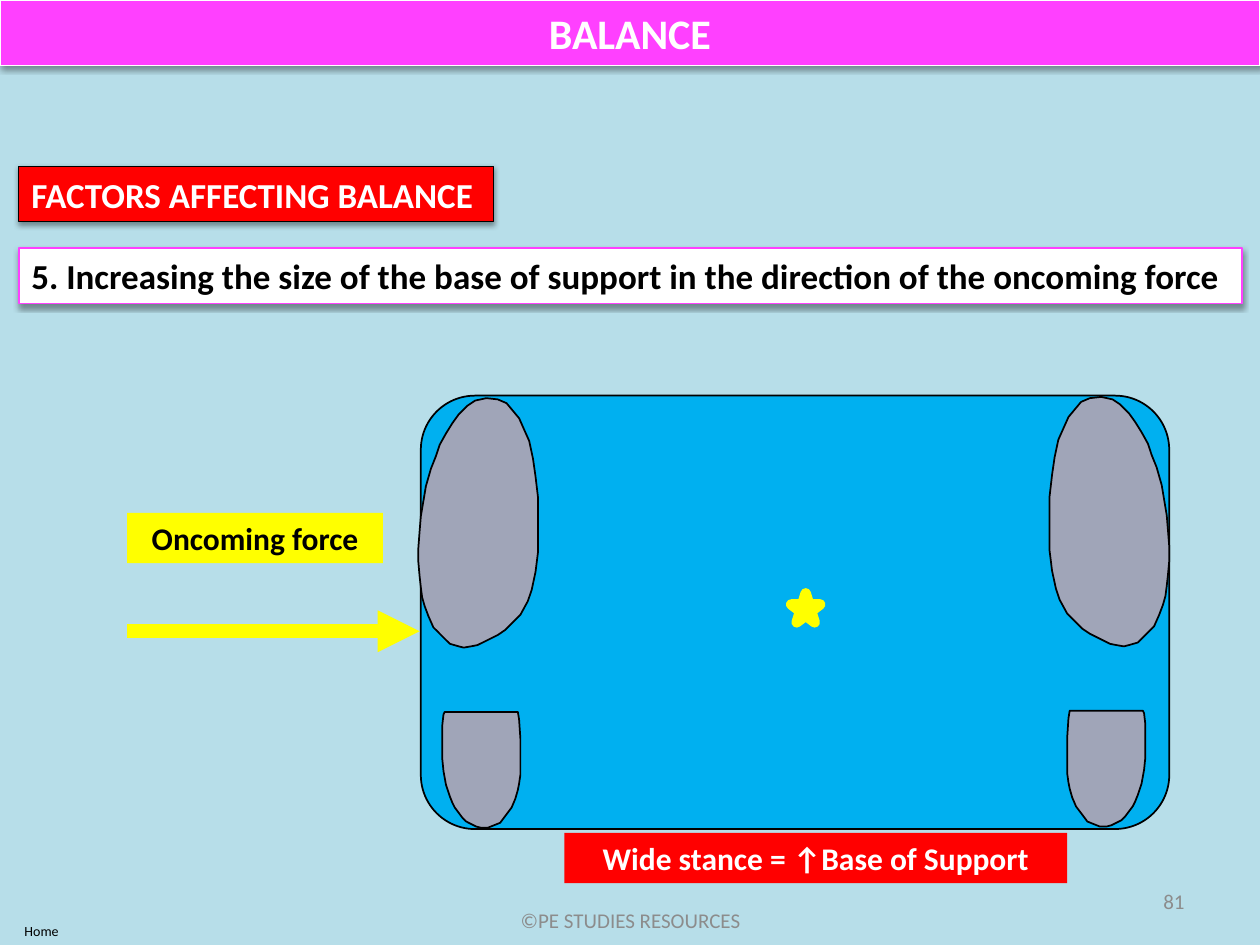
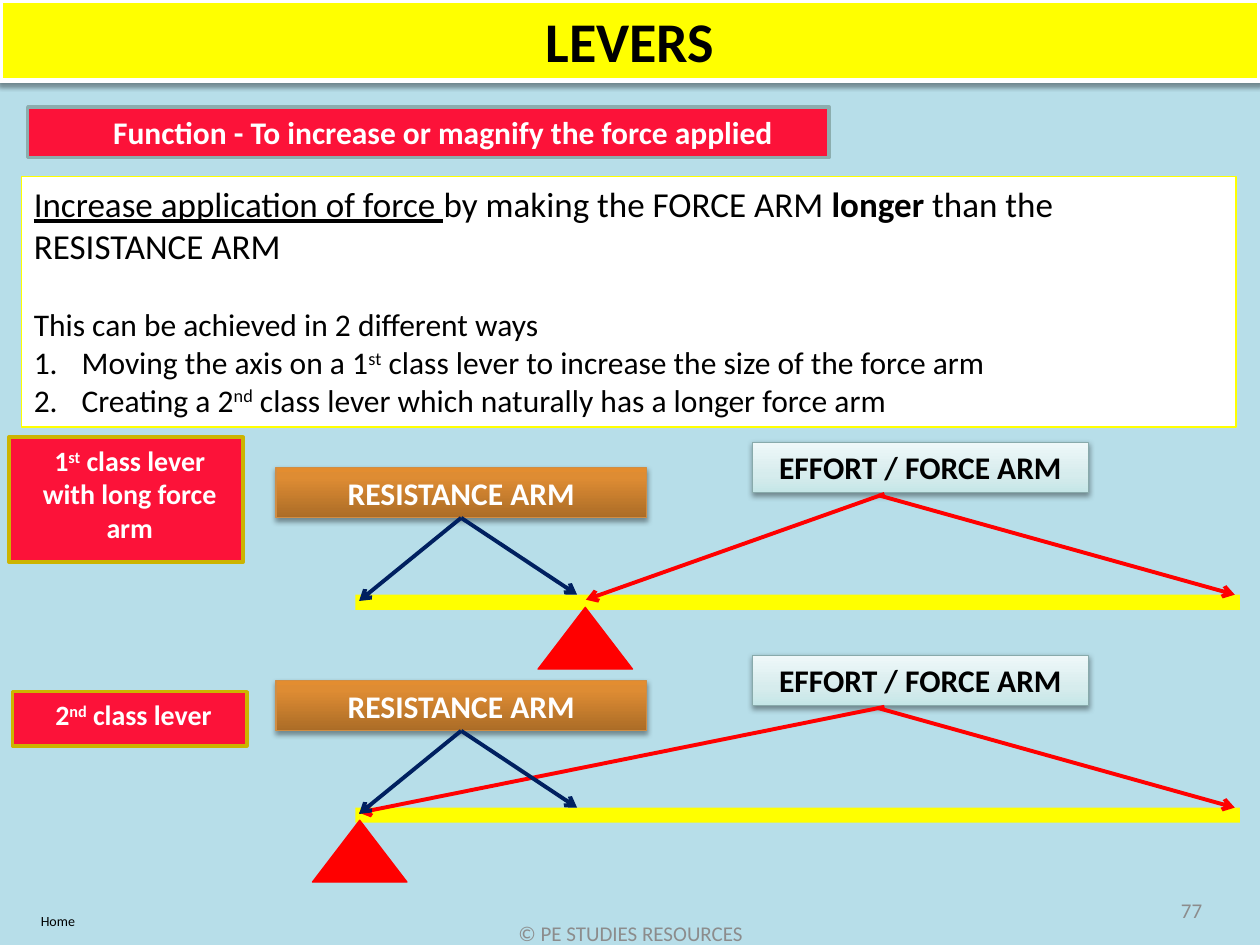
from dataclasses import dataclass

from lxml import etree
from pptx import Presentation, util as u
from pptx.dml.color import RGBColor
from pptx.enum import shapes, text
from pptx.oxml import parse_xml
from pptx.oxml.ns import nsdecls, qn


@dataclass(frozen=True)
class Theme:
    font: str = "Calibri"
    background: str = "B7DEE9"
    black: str = "000000"
    white: str = "FFFFFF"
    grey: str = "8C8C8C"
    magenta: str = "FF40FF"
    yellow: str = "FFFF00"
    red: str = "FF0000"
    crimson: str = "FC1239"
    teal: str = "8CADAE"
    gold: str = "CCB400"
    blue: str = "00B0F0"
    navy: str = "002060"
    foot: str = "A0A5B8"
    # Gradient stops run from the bottom of a shape to its top
    ice: tuple = ((0, "C5E6E7"), (35, "D6ECED"), (100, "EFF8F9"))
    ice_edge: str = "88AAAB"
    bronze: tuple = ((0, "AB6C27"), (80, "DE8C33"), (100, "E38D30"))
    bronze_edge: str = "D08D44"
    tiny: int = 8
    footer: int = 12
    tag: int = 16
    body: int = 18
    heading: int = 20
    title: int = 24
    big_title: int = 32


THEME = Theme()

# The slide is a grid of 100 columns by 75 rows
COLUMNS, ROWS = 100, 75
CELL = u.Inches(0.1)

# ---- Content: text; a run is a string or (string, style) ----
BALANCE = {
    "title": "BALANCE",
    "heading": "FACTORS AFFECTING BALANCE",
    "factor": "5. Increasing the size of the base of support in the direction of the oncoming force",
    "force": "Oncoming force",
    "stance": "Wide stance = ↑Base of Support",
    "credit": "©PE STUDIES RESOURCES",
    "number": "81",
}
LEVERS = {
    "title": "LEVERS",
    "function": "Function - To increase or magnify the force applied",
    "intro": [("Increase application of force ", "underline"), "by making the FORCE ARM ",
              ("longer", "bold"), " than the RESISTANCE ARM"],
    "lead": "This can be achieved in 2 different ways",
    "ways": [
        ["Moving the axis on a 1", ("st", "super"),
         " class lever to increase the size of the force arm"],
        ["Creating a 2", ("nd", "super"),
         " class lever which naturally has a longer force arm"],
    ],
    "credit": "© PE STUDIES RESOURCES",
    "number": "77",
}
# Each lever: tag text, tag box, column of the pivot, column where the force arm starts
LEVER_DIAGRAMS = [
    (["1", ("st", "super"), " class lever with long force arm"], (0.7, 34.7, 18.6, 9.9), 46.45, 46.5),
    (["2", ("nd", "super"), " class lever"], (1, 54.9, 18.6, 4.3), 28.55, 28.5),
]
LEVER_PITCH = 16.9

# Left foot outlines, in tenths of a cell; the right foot is their mirror
SOLE = [
    (386, 316), (377, 318), (371, 322), (364, 329), (359, 336), (354, 344), (349, 353),
    (346, 362), (342, 372), (338, 386), (336, 398), (334, 410), (333, 422), (332, 435),
    (332, 446), (333, 457), (334, 466), (335, 474), (337, 481), (340, 489), (344, 498),
    (347, 501), (351, 505), (357, 511), (364, 513), (368, 514), (374, 513), (379, 512),
    (385, 509), (395, 504), (401, 500), (406, 495), (413, 488), (419, 477), (422, 468),
    (425, 454), (427, 438), (427, 395), (425, 378), (423, 364), (420, 350), (416, 341),
    (412, 332), (407, 326), (402, 320), (395, 317),
]
HEEL = [
    (353, 565), (411, 565), (412, 571), (413, 586), (413, 615), (412, 622), (411, 627),
    (409, 634), (406, 641), (400, 649), (397, 653), (392, 655), (387, 657), (382, 657),
    (378, 656), (374, 654), (370, 652), (367, 649), (361, 641), (359, 637), (357, 632),
    (354, 623), (352, 612), (351, 602), (351, 576), (352, 567),
]
MIRROR_SUM = 1260  # left column + right column of a mirrored pair


# ---- Helpers ----
def cells(*values):
    return [round(value * CELL) for value in values]


def rgb(colour):
    return RGBColor.from_string(colour)


def paint(shape, fill=None, line=None, width=0.75, shadow=False):
    if isinstance(fill, tuple):
        stops = "".join(f'<a:gs pos="{share * 1000}"><a:srgbClr val="{colour}"/></a:gs>'
                        for share, colour in fill)
        shape._element.spPr.insert(2, parse_xml(
            f'<a:gradFill {nsdecls("a")} rotWithShape="1"><a:gsLst>{stops}</a:gsLst>'
            '<a:lin ang="16200000" scaled="0"/></a:gradFill>'))
    elif fill:
        shape.fill.solid()
        shape.fill.fore_color.rgb = rgb(fill)
    if line:
        shape.line.color.rgb = rgb(line)
        shape.line.width = u.Pt(width)
    else:
        shape.line.fill.background()
    shape.shadow.inherit = False
    if shadow:
        shape._element.spPr.find(qn("a:effectLst")).append(parse_xml(
            f'<a:outerShdw {nsdecls("a")} blurRad="{u.Pt(3.1)}" dist="{u.Pt(1.6)}" dir="5400000" '
            'rotWithShape="0"><a:srgbClr val="000000"><a:alpha val="38000"/></a:srgbClr></a:outerShdw>'))


def write(paragraph, content, size, colour=THEME.black, bold=False,
          align="LEFT", indent=0, numbered=False):
    paragraph.alignment = getattr(text.PP_ALIGN, align)
    properties = paragraph._p.get_or_add_pPr()
    if indent:
        properties.set("marL", str(cells(indent)[0]))
    if numbered:
        properties.set("indent", str(-cells(indent)[0]))
        etree.SubElement(properties, qn("a:buAutoNum"), type="arabicPeriod")
    font = paragraph.font
    font.name, font.size, font.bold = THEME.font, u.Pt(size), bold
    font.color.rgb = rgb(colour)
    for part in [content] if isinstance(content, str) else content:
        words, style = (part, None) if isinstance(part, str) else part
        run = paragraph.add_run()
        run.text = words
        if style == "bold":
            run.font.bold = True
        elif style == "underline":
            run.font.underline = True
        elif style == "super":
            run._r.get_or_add_rPr().set("baseline", "30000")


def frame_of(shape, anchor="TOP"):
    frame = shape.text_frame
    frame.word_wrap = True
    frame.vertical_anchor = getattr(text.MSO_ANCHOR, anchor)
    return frame


def add_preset(slide, kind, box, **look):
    shape = slide.shapes.add_shape(getattr(shapes.MSO_SHAPE, kind), *cells(*box))
    paint(shape, **look)
    return shape


def add_label(slide, box, content, size, colour=THEME.white, align="CENTER",
              indent=0, anchor="TOP", **look):
    shape = add_preset(slide, "RECTANGLE", box, **look)
    write(frame_of(shape, anchor).paragraphs[0], content, size, colour, True, align, indent)


def add_note(slide, box, content, size, colour, align="CENTER", anchor="MIDDLE"):
    frame = frame_of(slide.shapes.add_textbox(*cells(*box)), anchor)
    write(frame.paragraphs[0], content, size, colour, align=align)


def add_arrow(slide, start, end, colour, width, head):
    arrow = slide.shapes.add_connector(shapes.MSO_CONNECTOR.STRAIGHT, *cells(*start, *end))
    arrow.line.color.rgb = rgb(colour)
    arrow.line.width = u.Pt(width)
    etree.SubElement(arrow.line._get_or_add_ln(), qn("a:tailEnd"), type=head)
    etree.SubElement(arrow._element.spPr, qn("a:effectLst"))


def add_outline(slide, points):
    builder = slide.shapes.build_freeform(*points[0], scale=CELL / 10)
    builder.add_line_segments(points[1:], close=True)
    paint(builder.convert_to_shape(), THEME.foot, THEME.black, 1)


def add_base(presentation, content, band_height, band_fill, band_line, title_colour, title_size,
             credit_row, home_box, number_at):
    """Slide with background, title band and footer."""
    slide = presentation.slides.add_slide(presentation.slide_layouts[6])
    slide.background.fill.solid()
    slide.background.fill.fore_color.rgb = rgb(THEME.background)
    add_label(slide, (0, 0, COLUMNS, band_height), content["title"], title_size, title_colour,
              anchor="MIDDLE", fill=band_fill, line=THEME.white, width=band_line, shadow=True)
    add_note(slide, (34.2, credit_row, 31.7, 4), content["credit"], THEME.footer, THEME.grey)
    add_note(slide, (*home_box, 9.2, 2.4), "Home", THEME.tiny, THEME.black, anchor="TOP")
    add_note(slide, (*number_at, 23.3, 4), content["number"], THEME.footer, THEME.grey, "RIGHT")
    return slide


# ---- Slides ----
def build_balance(presentation):
    slide = add_base(presentation, BALANCE, 5.2, THEME.magenta, 0.75, THEME.white, THEME.title,
                     71, (-1.3, 72.7), (71.7, 69.5))
    add_label(slide, (1.5, 13.2, 37.7, 4.4), BALANCE["heading"], THEME.heading, align="LEFT",
              anchor="MIDDLE", fill=THEME.red, line=THEME.black, shadow=True)
    add_label(slide, (1.5, 19.7, 97.1, 4.4), BALANCE["factor"], THEME.heading, THEME.black, "LEFT",
              fill=THEME.white, line=THEME.magenta, width=1, shadow=True)

    # Base of support with both feet
    base = add_preset(slide, "ROUNDED_RECTANGLE", (33.4, 31.4, 59.4, 34.4),
                      fill=THEME.blue, line=THEME.black, width=1)
    base.adjustments[0] = 0.125
    for outline in (SOLE, HEEL):
        add_outline(slide, outline)
        add_outline(slide, [(MIRROR_SUM - x, y - 1) for x, y in outline])
    add_preset(slide, "STAR_5_POINT", (62.8, 47.1, 2.3, 2.3),
               fill=THEME.yellow, line=THEME.yellow, width=6)

    # Force and stance labels
    add_label(slide, (10.1, 40.7, 20.3, 4), BALANCE["force"], THEME.body, THEME.black,
              fill=THEME.yellow)
    add_arrow(slide, (10.1, 50.1), (33.3, 50.1), THEME.yellow, 8, "triangle")
    add_label(slide, (44.8, 66.1, 39.9, 4), BALANCE["stance"], THEME.body, fill=THEME.red)


def add_lever(slide, drop, tag, tag_box, pivot, force_start):
    add_preset(slide, "RECTANGLE", (28.2, 47.2 + drop, 70.2, 1.2), fill=THEME.yellow)
    add_preset(slide, "ISOSCELES_TRIANGLE", (pivot - 3.75, 48.2 + drop, 7.5, 4.9),
               fill=THEME.red, line=THEME.red)
    add_label(slide, (59.7, 35.1 + drop, 26.7, 4), "EFFORT / FORCE ARM", THEME.body, THEME.black,
              fill=THEME.ice, line=THEME.ice_edge, shadow=True)
    add_label(slide, (21.9, 37.1 + drop, 29.4, 4), "RESISTANCE ARM", THEME.body,
              fill=THEME.bronze, line=THEME.bronze_edge, shadow=True)
    for start, end, colour in [
        ((70.2, 39.2), (force_start, 47.6), THEME.red),
        ((69.7, 39.3), (98, 47.2), THEME.red),
        ((36.6, 41.1), (28.5, 47.7), THEME.navy),
        ((36.6, 41.1), (45.8, 47.2), THEME.navy),
    ]:
        add_arrow(slide, (start[0], start[1] + drop), (end[0], end[1] + drop), colour, 2.25, "arrow")
    add_label(slide, tag_box, tag, THEME.tag, indent=0.6,
              fill=THEME.crimson, line=THEME.gold, width=2)


def build_levers(presentation):
    slide = add_base(presentation, LEVERS, 6.4, THEME.yellow, 3, THEME.black, THEME.big_title,
                     72.1, (0, 71.9), (73.1, 70.2))
    add_label(slide, (2.2, 8.5, 63.6, 4), LEVERS["function"], THEME.body, align="LEFT", indent=5.8,
              fill=THEME.crimson, line=THEME.teal, width=2)

    # Explanation
    panel = add_preset(slide, "RECTANGLE", (1.7, 14, 96.4, 19.9),
                       fill=THEME.white, line=THEME.yellow)
    frame = frame_of(panel)
    write(frame.paragraphs[0], LEVERS["intro"], THEME.heading)
    lead = frame.add_paragraph()
    lead.space_before = u.Pt(22)
    write(lead, LEVERS["lead"], THEME.body)
    for way in LEVERS["ways"]:
        write(frame.add_paragraph(), way, THEME.body, indent=3.8, numbered=True)

    for index, diagram in enumerate(LEVER_DIAGRAMS):
        add_lever(slide, index * LEVER_PITCH, *diagram)


def main():
    presentation = Presentation()
    presentation.slide_width, presentation.slide_height = COLUMNS * CELL, ROWS * CELL
    build_balance(presentation)
    build_levers(presentation)
    presentation.save("out.pptx")


if __name__ == "__main__":
    main()
